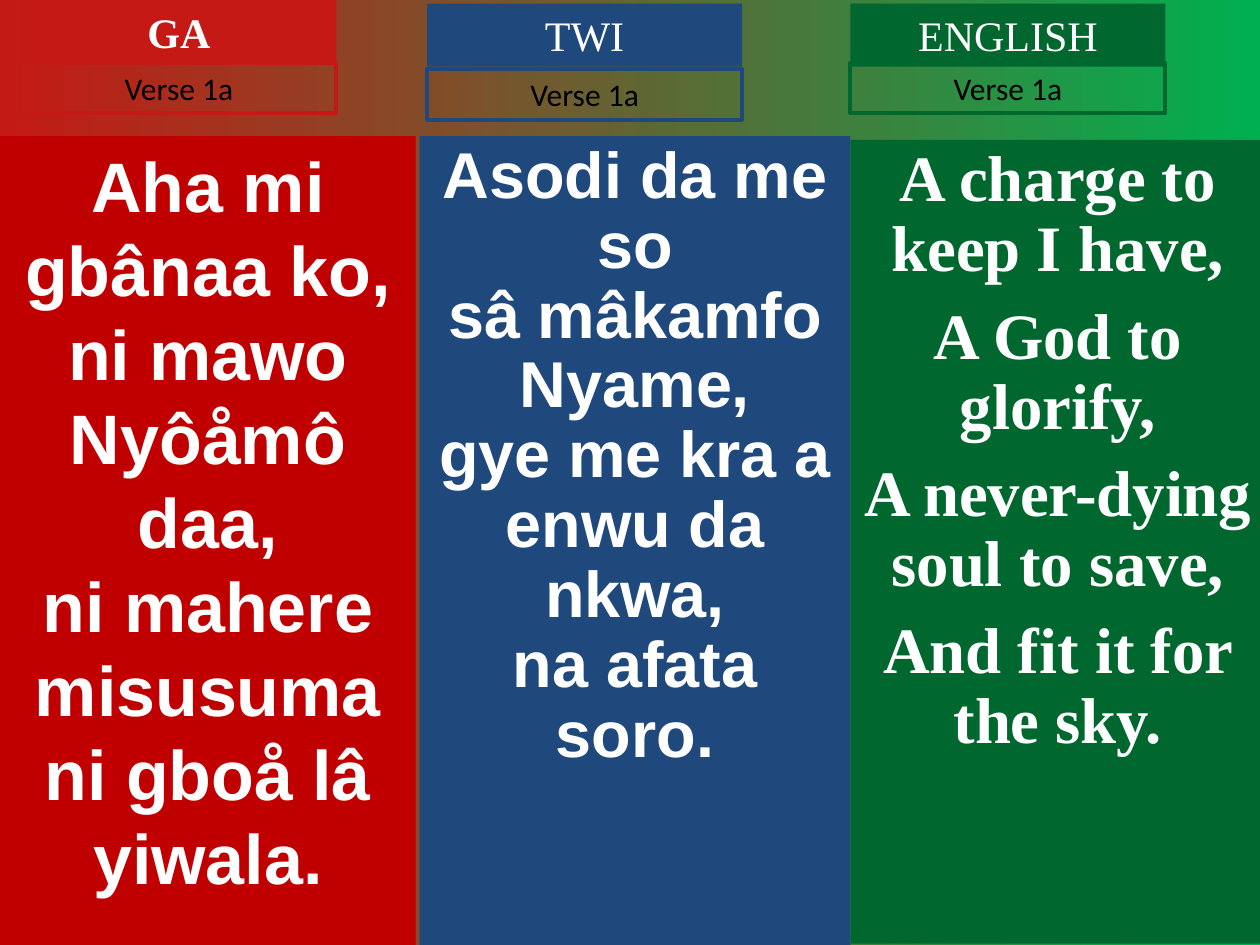
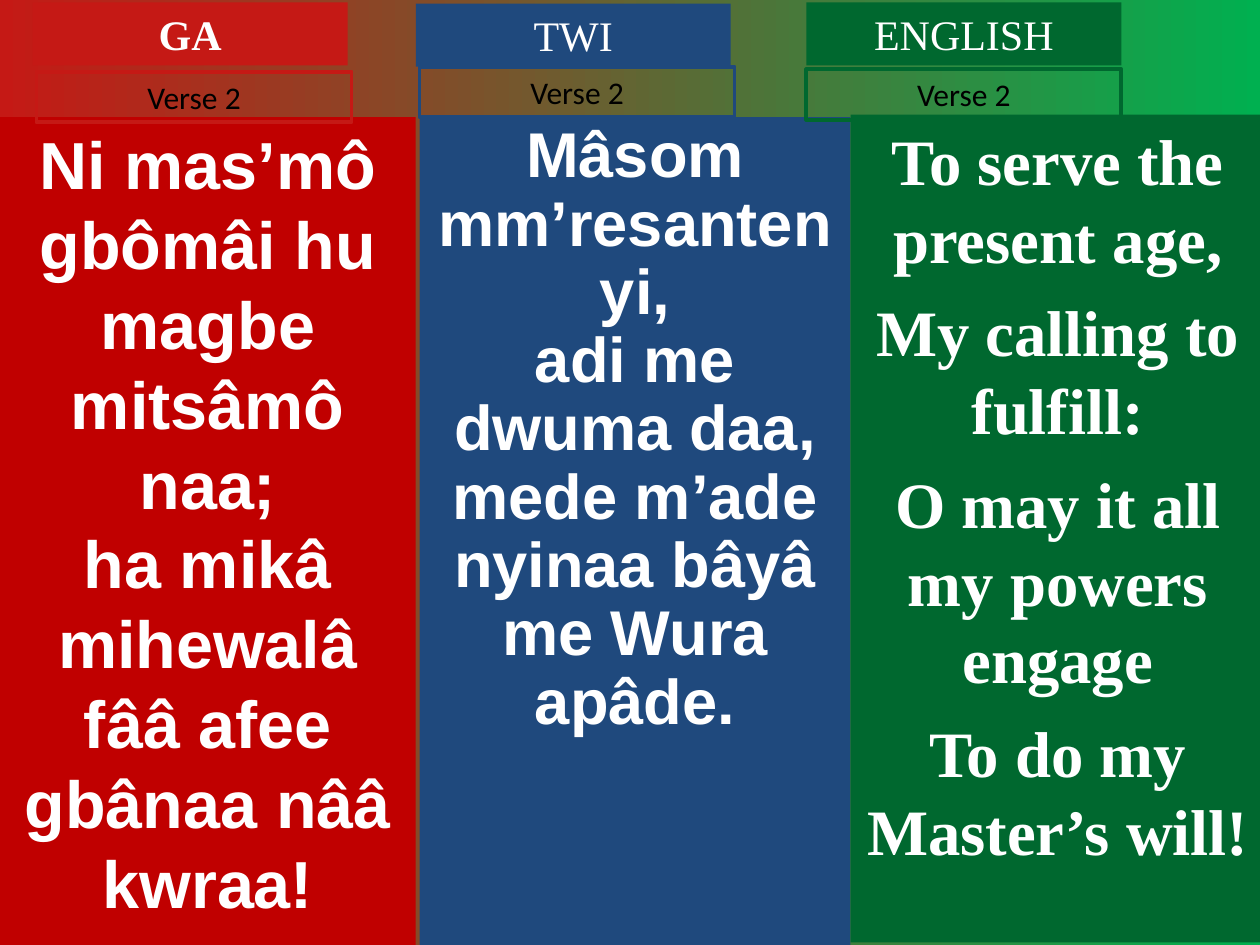
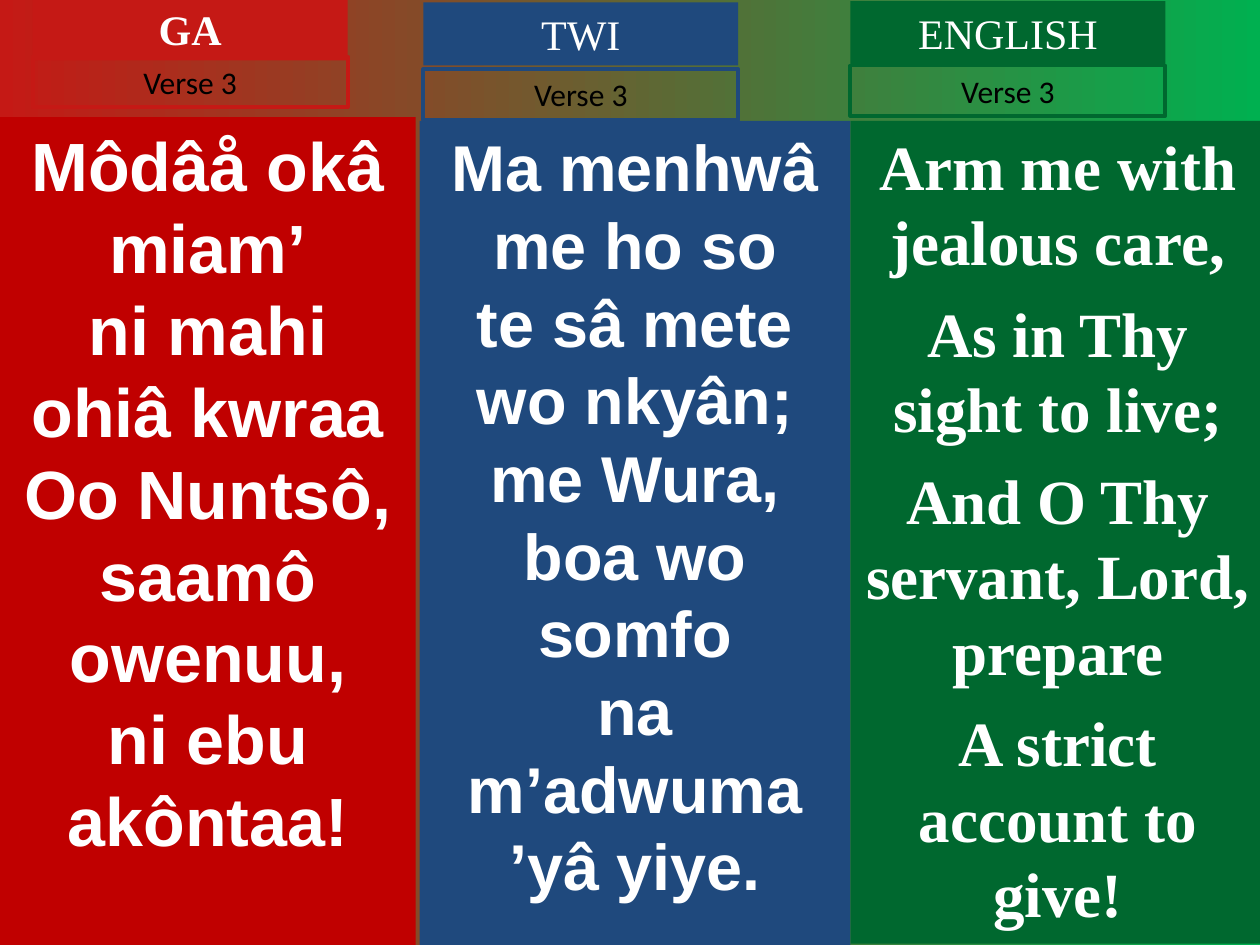
import pptx
import pptx.util
import pptx.dml.color
import pptx.enum.shapes
import pptx.enum.text
from dataclasses import dataclass

Inches = pptx.util.Inches
Pt = pptx.util.Pt


@dataclass(frozen=True)
class Theme:
    red: str = "C51915"
    panel_red: str = "C00000"
    blue: str = "1F497D"
    green: str = "00682F"
    bright_green: str = "00B050"
    white: str = "FFFFFF"
    black: str = "000000"
    sans: str = "Arial"
    serif: str = "Times New Roman"
    label: str = "Calibri"
    title_size: float = 24
    verse_size: float = 18
    border: float = 2.25


T = Theme()

LANGUAGES = [
    {"name": "GA", "accent": T.red, "panel": T.panel_red, "font": T.sans,
     "bold": True, "left": 0, "width": 3.3},
    {"name": "TWI", "accent": T.blue, "panel": T.blue, "font": T.sans,
     "bold": False, "left": 3.33, "width": 3.42},
    {"name": "ENGLISH", "accent": T.green, "panel": T.green, "font": T.serif,
     "bold": False, "left": 6.75, "width": 3.29},
]

VERSES = [
    {"label": "Verse 1a", "columns": [
        {"title": (0.17, 0), "verse": (0.17, 0.5), "top": 1.08, "height": 6.42,
         "size": 40, "spacing": 1, "gap": 0,
         "lines": ["Aha mi gbânaa ko,", "ni mawo Nyôåmô daa,",
                   "ni mahere misusuma", "ni gboå lâ yiwala."]},
        {"title": (3.39, 0.03), "verse": (3.39, 0.55), "top": 1.08, "height": 6.42,
         "size": 37, "spacing": 0.9, "gap": 0,
         "lines": ["Asodi da me so", "sâ mâkamfo Nyame,",
                   "gye me kra a enwu da nkwa,", "na afata soro."]},
        {"title": (6.75, 0.03), "verse": (6.75, 0.5), "top": 1.11, "height": 6.38,
         "size": 37, "spacing": 0.9, "gap": 10,
         "lines": ["A charge to keep I have,", "A God to glorify,",
                   "A never-dying soul to save,", "And fit it for the sky."]},
    ]},
    {"label": "Verse 2", "columns": [
        {"title": (0.26, 0.02), "verse": (0.29, 0.57), "top": 0.93, "height": 6.57,
         "size": 38, "spacing": 1, "gap": 0,
         "lines": ["Ni mas’mô gbômâi hu", "magbe mitsâmô naa;",
                   "ha mikâ mihewalâ fââ afee gbânaa nââ kwraa!"]},
        {"title": (3.3, 0.03), "verse": (3.33, 0.53), "top": 0.93, "height": 6.57,
         "size": 36.1, "spacing": 0.9, "gap": 0,
         "lines": ["Mâsom mm’resanten yi,", "adi me dwuma daa,",
                   "mede m’ade nyinaa bâyâ", "me Wura apâde."]},
        {"title": (6.4, 0.02), "verse": (6.4, 0.55), "top": 0.91, "height": 6.57,
         "size": 37, "spacing": 1, "gap": 9.2,
         "lines": ["To serve the present age,", "My calling to fulfill:",
                   "O may it all my powers engage", "To do my Master’s will!"]},
    ]},
    {"label": "Verse 3", "columns": [
        {"title": (0.26, -0.02), "verse": (0.26, 0.45), "top": 0.93, "height": 6.57,
         "size": 39, "spacing": 1, "gap": 0,
         "lines": ["Môdâå okâ miam’", "ni mahi ohiâ kwraa",
                   "Oo Nuntsô, saamô owenuu,", "ni ebu akôntaa!"]},
        {"title": (3.36, 0.02), "verse": (3.36, 0.55), "top": 0.96, "height": 6.54,
         "size": 37, "spacing": 1, "gap": 0,
         "lines": ["Ma menhwâ me ho so", "te sâ mete wo nkyân;",
                   "me Wura, boa wo somfo", "na m’adwuma ’yâ yiye."]},
        {"title": (6.75, 0.01), "verse": (6.75, 0.52), "top": 0.96, "height": 6.53,
         "size": 36, "spacing": 1, "gap": 9,
         "lines": ["Arm me with jealous care,", "As in Thy sight to live;",
                   "And O Thy servant, Lord, prepare", "A strict account to give!"]},
    ]},
]


def rgb(value):
    return pptx.dml.color.RGBColor.from_string(value)


def add_box(s, left, top, width, height, lines, font, size, color,
            fill=None, line=None, bold=False, spacing=1, gap=0, grow=False):
    sp = s.shapes.add_shape(pptx.enum.shapes.MSO_SHAPE.RECTANGLE,
                            Inches(left), Inches(top), Inches(width), Inches(height))
    sp.shadow.inherit = False
    if fill:
        sp.fill.solid()
        sp.fill.fore_color.rgb = rgb(fill)
    else:
        sp.fill.background()
    if line:
        sp.line.color.rgb = rgb(line)
        sp.line.width = Pt(T.border)
    else:
        sp.line.fill.background()
    tf = sp.text_frame
    tf.word_wrap = True
    tf.vertical_anchor = pptx.enum.text.MSO_ANCHOR.TOP
    if grow:
        tf.auto_size = pptx.enum.text.MSO_AUTO_SIZE.SHAPE_TO_FIT_TEXT
    tf.text = "\n".join(lines)
    for i, p in enumerate(tf.paragraphs):
        p.alignment = pptx.enum.text.PP_ALIGN.CENTER
        p.line_spacing = spacing
        p.space_before = Pt(gap if i else 0)
        for r in p.runs:
            r.font.name = font
            r.font.size = Pt(size)
            r.font.bold = bold
            r.font.color.rgb = rgb(color)


def paint_background(s):
    fill = s.background.fill
    fill.gradient()
    fill.gradient_angle = 0
    for stop, color in zip(fill.gradient_stops, (T.red, T.bright_green)):
        stop.color.rgb = rgb(color)


def add_column(s, language, column, label):
    add_box(s, language["left"], column["top"], language["width"], column["height"],
            column["lines"], language["font"], column["size"], T.white,
            fill=language["panel"], bold=True,
            spacing=column["spacing"], gap=column["gap"])
    add_box(s, *column["title"], 2.5, 0.5, [language["name"]], T.serif, T.title_size,
            T.white, fill=language["accent"], bold=language["bold"], grow=True)
    add_box(s, *column["verse"], 2.5, 0.4, [label], T.label, T.verse_size,
            T.black, line=language["accent"], grow=True)


def main():
    prs = pptx.Presentation()
    prs.slide_width, prs.slide_height = Inches(10), Inches(7.5)
    for verse in VERSES:
        s = prs.slides.add_slide(prs.slide_layouts[6])
        paint_background(s)
        for language, column in zip(LANGUAGES, verse["columns"]):
            add_column(s, language, column, verse["label"])
    prs.save("out.pptx")


if __name__ == "__main__":
    main()
